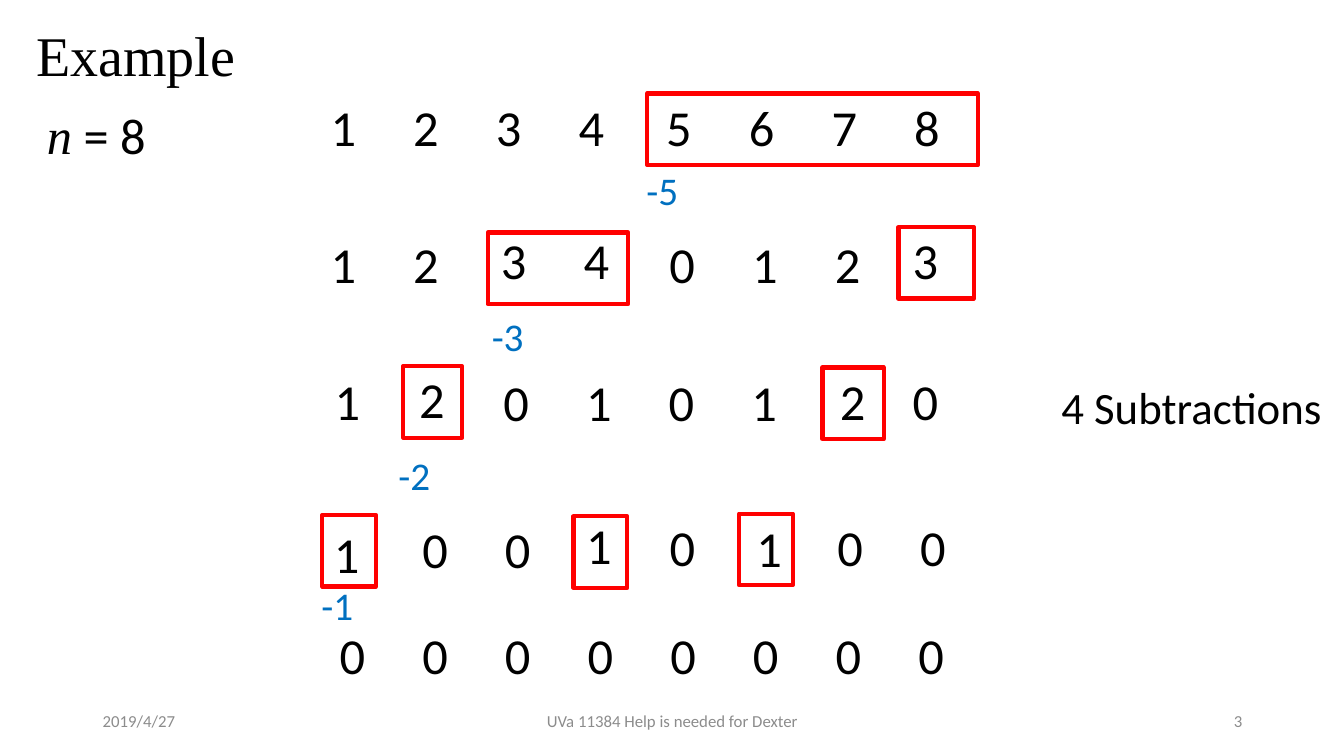
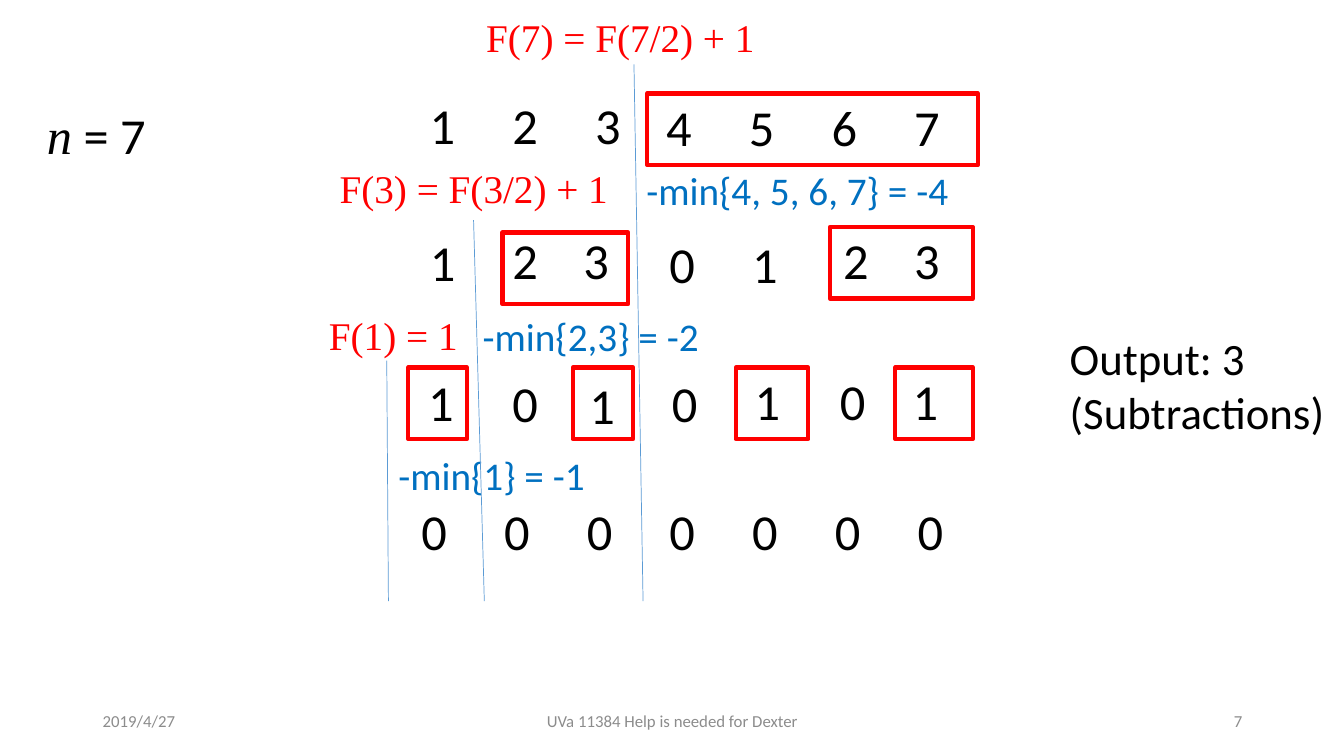
from pptx import Presentation
from pptx.dml.color import RGBColor
from pptx.enum.shapes import MSO_CONNECTOR, MSO_SHAPE
from pptx.enum.text import MSO_ANCHOR, MSO_AUTO_SIZE, PP_ALIGN
from pptx.oxml.ns import qn
from pptx.util import Inches, Pt
from lxml.etree import SubElement

WIDE, HIGH = 13.33, 7.5
LEFT, TOP = 3.18, 0.9
COL, ROW = 0.82, 1.38
CELL = 0.71
SANS, SERIF = "Calibri", "Times New Roman"
BLACK, RED, BLUE, GREY, RULE = "000000", "FF0000", "0070C0", "8C8C8C", "5B9BD5"
DATE, TOPIC = "2019/4/27", "UVa 11384 Help is needed for Dexter"


def tint(code):
    """Turn a hex string into a colour."""
    return RGBColor.from_string(code)


def spot(col, row):
    """Give the slide position of a grid point."""
    return Inches(LEFT + COL * col), Inches(TOP + ROW * row)


def style(run, size, code=BLACK, face=SANS, slant=False):
    """Set the font of one run."""
    font = run.font
    font.size, font.name = Pt(size), face
    font.bold, font.italic = False, slant
    font.color.rgb = tint(code)


def label(slide, col, row, wide, text, size, code=BLACK, face=SANS):
    """Add a line of text at a grid point, its width in columns."""
    box = slide.shapes.add_textbox(*spot(col, row), Inches(COL * wide), Inches(CELL))
    frame = box.text_frame
    frame.word_wrap = True
    frame.text = text
    for run in frame.paragraphs[0].runs:
        style(run, size, code, face)
    return frame


def head(slide, col, row, wide, text, size, code=BLACK):
    """Move and format the title placeholder."""
    title = slide.shapes.title
    title.left, title.top = spot(col, row)
    title.width, title.height = Inches(COL * wide), Inches(size / 52)
    frame = title.text_frame
    frame.text = text
    frame.auto_size = MSO_AUTO_SIZE.NONE
    frame.vertical_anchor = MSO_ANCHOR.TOP
    line = frame.paragraphs[0]
    line.alignment = PP_ALIGN.LEFT
    style(line.runs[0], size, code, SERIF)


def given(slide, count):
    """Add the value of n with its italic letter."""
    frame = label(slide, -3.43, 0.06, 1.8, "n", 36, face=SERIF)
    line = frame.paragraphs[0]
    line.runs[0].font.italic = True
    rest = line.add_run()
    rest.text = f" = {count}"
    style(rest, 36)


def digits(slide, col, row, text, pitch=1):
    """Add digits spaced evenly by tab stops."""
    frame = label(slide, col, row, len(text) * pitch, "\t".join(text), 36)
    stops = SubElement(frame.paragraphs[0]._p.get_or_add_pPr(), qn("a:tabLst"))
    for step in range(1, len(text)):
        pos = Inches(COL * pitch * step)
        SubElement(stops, qn("a:tab"), pos=str(pos), algn="l")


def frame_in(slide, col, row, wide):
    """Draw a red box around digits."""
    box = slide.shapes.add_shape(
        MSO_SHAPE.RECTANGLE, *spot(col, row), Inches(COL * wide), Inches(CELL))
    box.shadow.inherit = False
    box.fill.background()
    box.line.color.rgb = tint(RED)
    box.line.width = Pt(3)


def split(slide, start, end):
    """Draw a thin line between two grid points."""
    line = slide.shapes.add_connector(
        MSO_CONNECTOR.STRAIGHT, *spot(*start), *spot(*end))
    line.line.color.rgb = tint(RULE)
    line.line.width = Pt(0.5)
    SubElement(line._element.spPr, qn("a:effectLst"))


def foot(slide, page):
    """Add the date, topic and page number."""
    parts = (
        (0.92, 3, DATE, PP_ALIGN.LEFT),
        (4.42, 4.5, TOPIC, PP_ALIGN.CENTER),
        (9.42, 3, str(page), PP_ALIGN.RIGHT),
    )
    for left, wide, text, side in parts:
        box = slide.shapes.add_textbox(
            Inches(left), Inches(6.95), Inches(wide), Inches(0.4))
        frame = box.text_frame
        frame.word_wrap = True
        frame.vertical_anchor = MSO_ANCHOR.MIDDLE
        frame.text = text
        frame.paragraphs[0].alignment = side
        style(frame.paragraphs[0].runs[0], 12, GREY)


def board(deck, page, count, groups, boxes, drops):
    """Add a slide with digit rows, red boxes and blue subtractions."""
    slide = deck.slides.add_slide(deck.slide_layouts[5])
    foot(slide, page)
    given(slide, count)
    for group in groups:
        digits(slide, *group)
    for box in boxes:
        frame_in(slide, *box)
    for col, row, text in drops:
        label(slide, col, row, 4.1, text, 28, BLUE)
    return slide


def eight(deck):
    """Build the example for n = 8."""
    groups = (
        (0, 0, "1234"), (4.06, 0, "5678"),
        (0, 0.99, "12"), (2.06, 0.96, "34"), (4.1, 0.99, "012"), (7.04, 0.96, "3"),
        (0.05, 1.97, "1"), (1.07, 1.96, "2"), (2.09, 1.98, "0101"),
        (6.16, 1.97, "2"), (7.04, 1.97, "0"),
        (0.04, 3.07, "1"), (1.11, 3.04, "00"), (3.09, 3.01, "1"),
        (4.1, 3.02, "0"), (5.15, 3.03, "1"), (6.13, 3.02, "00"),
        (0.11, 3.8, "0" * 8),
    )
    boxes = (
        (3.95, 0.02, 4), (6.99, 0.98, 0.91), (2.02, 1.02, 1.7),
        (6.07, 1.99, 0.74), (1, 1.98, 0.71),
        (5.06, 3.04, 0.65), (3.06, 3.06, 0.65), (0.02, 3.05, 0.65),
    )
    drops = ((3.82, 0.51, "-5"), (1.95, 1.56, "-3"),
             (0.82, 2.56, "-2"), (-0.11, 3.49, "-1"))
    slide = board(deck, 3, 8, groups, boxes, drops)
    head(slide, -3.56, -0.54, 2.8, "Example", 40)
    label(slide, 8.84, 2.04, 3.5, "4 Subtractions", 32)


def seven(deck):
    """Build the recursion for n = 7."""
    groups = (
        (1.2, -0.01, "123"), (4.06, 0, "4567"),
        (1.2, 0.97, "1"), (2.2, 0.96, "23", 0.86),
        (4.1, 0.99, "01"), (6.2, 0.96, "23", 0.86),
        (1.18, 1.98, "1"), (2.2, 1.99, "0"), (3.13, 2, "1"), (4.13, 1.99, "0"),
        (5.13, 1.97, "1"), (6.16, 1.97, "0"), (7.04, 1.97, "1"),
        (1.1, 2.91, "0" * 7),
    )
    boxes = (
        (3.95, 0.02, 4), (6.16, 0.98, 1.73), (2.2, 1.02, 1.52),
        (6.95, 1.99, 0.94), (1.06, 1.99, 0.71),
        (5.02, 1.99, 0.88), (3.05, 1.99, 0.73),
    )
    drops = ((3.82, 0.51, "-min{4, 5, 6, 7} = -4"),
             (1.84, 1.56, "-min{2,3} = -2"), (0.82, 2.56, "-min{1} = -1"))
    slide = board(deck, 7, 7, groups, boxes, drops)
    head(slide, 1.88, -0.59, 4, "F(7) = F(7/2) + 1", 28, RED)
    label(slide, 0.11, 0.49, 3.6, "F(3) = F(3/2) + 1", 28, RED, SERIF)
    label(slide, -0.02, 1.55, 1.95, "F(1) = 1", 28, RED, SERIF)
    label(slide, 8.94, 1.69, 3.4, "Output: 3 (Subtractions)", 32)
    for col, row, end in ((3.79, -0.19, 3.9), (1.85, 0.93, 1.98), (0.8, 1.94, 0.82)):
        split(slide, (col, row), (end, 3.67))


def main():
    """Build and save the deck."""
    deck = Presentation()
    deck.slide_width, deck.slide_height = Inches(WIDE), Inches(HIGH)
    eight(deck)
    seven(deck)
    deck.save("out.pptx")


if __name__ == "__main__":
    main()
